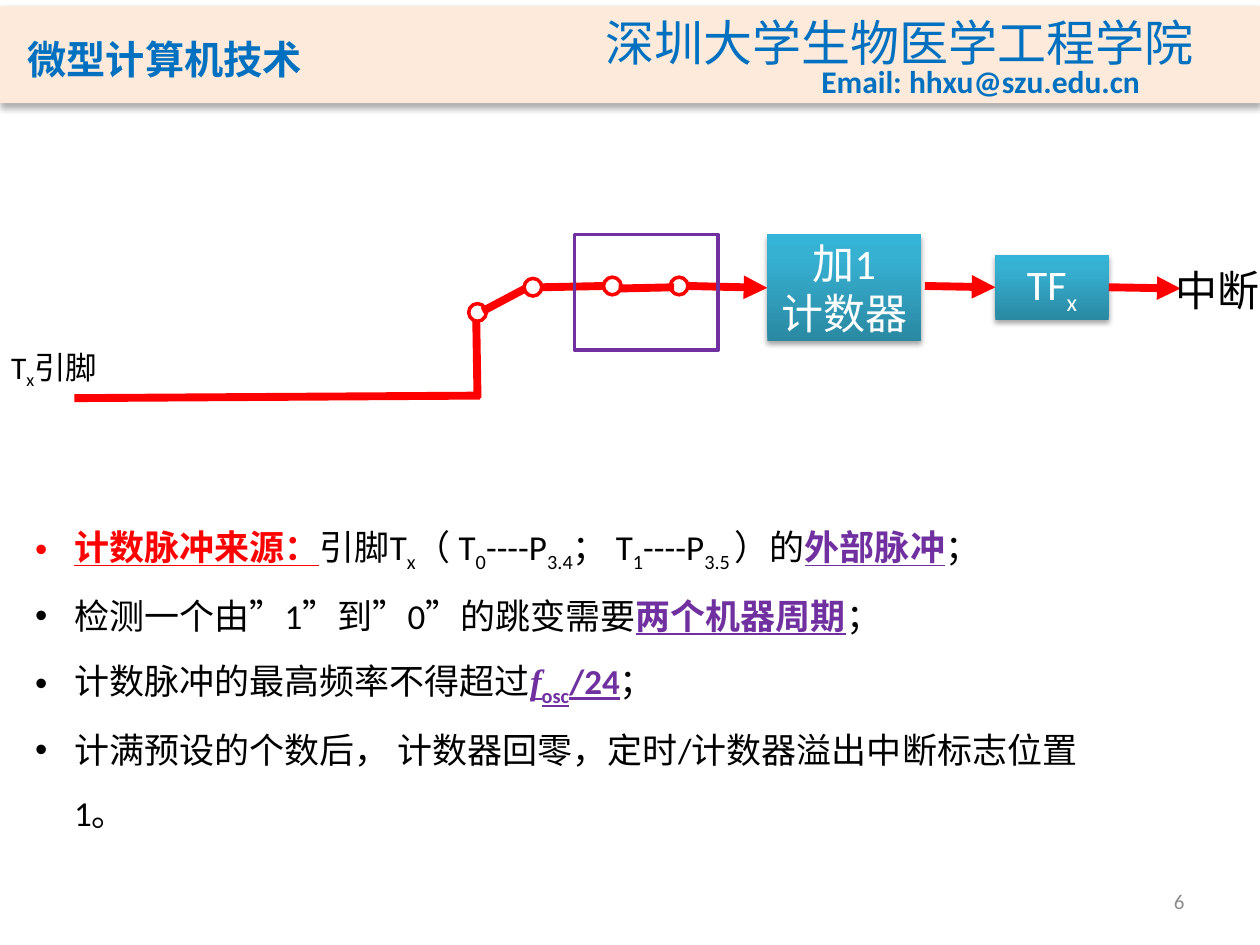
"""Build the slide on counter pulses: a signal chain from pin to interrupt, and four notes."""
from copy import deepcopy

from lxml import etree
from pptx import Presentation
from pptx import util as u
from pptx.dml.color import RGBColor
from pptx.enum import shapes, text
from pptx.oxml import ns

COLORS = {
    "band": "FDEADA", "header": "0070C0", "number": "8C8C8C", "black": "000000",
    "white": "FFFFFF", "signal": "FF0000", "accent": "7030A0",
}
BLOCK_STOPS = [(0, "2A88A2"), (0.8, "37B1D2"), (1, "34B4D6")]
SUB = {"baseline": "-25000"}
STRONG = {"name": "Times New Roman", "color": "accent", "bold": True, "underline": True}
STRONG_CALIBRI = {**STRONG, "name": "Calibri"}
LEAD = {**STRONG_CALIBRI, "color": "signal"}

NOTES = [
    [("计数脉冲来源：", LEAD), "引脚T", ("x", SUB), "（ T", ("0", SUB), "----P", ("3.4", SUB),
     "； T", ("1", SUB), "----P", ("3.5 ", SUB), "）的", ("外部脉冲", STRONG), "；"],
    ["检测一个由”1”到”0”的跳变需要", ("两个机器周期", STRONG), "；"],
    ["计数脉冲的最高频率不得超过", ("f", {**STRONG, "italic": True}),
     ("osc", {**STRONG_CALIBRI, **SUB}), ("/24", STRONG_CALIBRI), "；"],
    ["计满预设的个数后， 计数器回零，定时/计数器溢出中断标志位置1。"],
]
WIRES = [
    (3.78, 2.55, 3.79, 3.16), (0.59, 3.16, 3.81, 3.14), (3.83, 2.47, 4.17, 2.29),
    (4.3, 2.28, 4.8, 2.27), (5.35, 2.28, 4.91, 2.29),
]
CONTACTS = [(3.72, 2.41), (4.16, 2.21), (4.79, 2.2), (5.32, 2.2)]


def rgb(name):
    """Return the named colour."""
    return RGBColor.from_string(COLORS[name])


def add_run(paragraph, content, base):
    """Add a run, given as plain text or as text with its own format."""
    words, changes = (content, {}) if isinstance(content, str) else content
    run = paragraph.add_run()
    run.text = words
    for key, value in {"name": "Calibri", "color": "black", **base, **changes}.items():
        if key == "color":
            run.font.color.rgb = rgb(value)
        elif key in ("baseline", "cap"):
            run._r.get_or_add_rPr().set(key, value)
        else:
            setattr(run.font, key, u.Pt(value) if key == "size" else value)


def add_bullet(paragraph):
    """Give a paragraph a hanging bullet."""
    properties = paragraph._p.get_or_add_pPr()
    properties.set("marL", str(u.Inches(0.31)))
    properties.set("indent", str(-u.Inches(0.31)))
    etree.SubElement(properties, ns.qn("a:buFont")).set("typeface", "Arial")
    etree.SubElement(properties, ns.qn("a:buChar")).set("char", "•")


def write(shape, paragraphs, base, align="LEFT", anchor="TOP", wrap=True, bullets=False):
    """Fill a shape with paragraphs, each a list of runs."""
    frame = shape.text_frame
    frame.word_wrap = wrap
    frame.vertical_anchor = getattr(text.MSO_ANCHOR, anchor)
    for index, runs in enumerate(paragraphs):
        paragraph = frame.add_paragraph() if index else frame.paragraphs[0]
        paragraph.alignment = getattr(text.PP_ALIGN, align)
        if bullets:
            paragraph.line_spacing = 1.5
            add_bullet(paragraph)
        for content in runs:
            add_run(paragraph, content, base)


def add_label(slide, box, paragraphs, base, **layout):
    """Add a text box."""
    write(slide.shapes.add_textbox(*map(u.Inches, box)), paragraphs, base, **layout)


def add_outline(slide, kind, box, color=None):
    """Add a shape without fill, with a line in the colour if one is given."""
    shape = slide.shapes.add_shape(kind, *map(u.Inches, box))
    shape.shadow.inherit = False
    shape.fill.background()
    if color:
        shape.line.color.rgb = rgb(color)
        shape.line.width = u.Pt(2)
    else:
        shape.line.fill.background()
    return shape


def add_shadow(shape, opacity, blur, distance):
    """Cast a soft black shadow straight down."""
    effects = shape._element.spPr.find(ns.qn("a:effectLst"))
    shadow = etree.SubElement(effects, ns.qn("a:outerShdw"), blurRad=str(u.Pt(blur)),
                              dist=str(u.Pt(distance)), dir="5400000", rotWithShape="0")
    color = etree.SubElement(shadow, ns.qn("a:srgbClr"), val=COLORS["black"])
    etree.SubElement(color, ns.qn("a:alpha"), val=str(opacity * 1000))


def add_block(slide, box, paragraphs):
    """Add a shaded block of the signal chain."""
    shape = add_outline(slide, shapes.MSO_SHAPE.RECTANGLE, box)
    shape.fill.gradient()
    shape.fill.gradient_angle = 90
    stop_list = shape._element.spPr.find(ns.qn("a:gradFill")).find(ns.qn("a:gsLst"))
    stop_list.append(deepcopy(stop_list[-1]))
    for stop, (position, color) in zip(shape.fill.gradient_stops, BLOCK_STOPS):
        stop.position = position
        stop.color.rgb = RGBColor.from_string(color)
    add_shadow(shape, 35, 3.1, 1.8)
    write(shape, paragraphs, {"size": 24, "color": "white"}, align="CENTER", anchor="MIDDLE")
    return shape


def add_wire(slide, ends, arrow=False, start=None, finish=None):
    """Add a signal wire, joined to the right of one block or the left of another."""
    wire = slide.shapes.add_connector(shapes.MSO_CONNECTOR.STRAIGHT, *map(u.Inches, ends))
    wire.line.color.rgb = rgb("signal")
    wire.line.width = u.Pt(4.5)
    if arrow:
        etree.SubElement(wire.line._get_or_add_ln(), ns.qn("a:tailEnd"), type="triangle")
    etree.SubElement(wire._element.spPr, ns.qn("a:effectLst"))
    if start:
        wire.begin_connect(start, 3)
    if finish:
        wire.end_connect(finish, 1)


def add_header(slide):
    """Add the band with the course, the school and the address."""
    band = add_outline(slide, shapes.MSO_SHAPE.RECTANGLE, (0, 0.05, 10, 0.77))
    band.fill.solid()
    band.fill.fore_color.rgb = rgb("band")
    add_shadow(band, 32, 3.5, 2.2)
    blue = {"color": "header", "size": 28}
    add_label(slide, (0.12, 0.16, 3.39, 0.56), [["微型计算机技术"]],
              {**blue, "name": "Noto Sans CJK JP", "bold": True, "cap": "small"}, anchor="BOTTOM")
    add_label(slide, (4.71, 0.05, 4.91, 0.57), [["深圳大学生物医学工程学院"]],
              {**blue, "name": "Noto Sans CJK SC"}, wrap=False)
    add_label(slide, (6.42, 0.44, 2.75, 0.4), [["Email: hhxu@szu.edu.cn"]],
              {**blue, "size": 18, "bold": True}, wrap=False)


def add_signal_chain(slide):
    """Add the wires, contacts and blocks from the pin to the interrupt."""
    for ends in WIRES:
        add_wire(slide, ends)
    for left, top in CONTACTS:
        add_outline(slide, shapes.MSO_SHAPE.OVAL, (left, top, 0.14, 0.14), "signal")
    counter = add_block(slide, (6.09, 1.86, 1.22, 0.85), [["加1"], ["计数器"]])
    flag = add_block(slide, (7.9, 2.02, 0.9, 0.52), [["TF", ("x", SUB)]])
    add_wire(slide, (5.46, 2.27, 6.09, 2.27), arrow=True, finish=counter)
    add_wire(slide, (7.34, 2.27, 7.9, 2.28), arrow=True, finish=flag)
    add_wire(slide, (8.8, 2.28, 9.37, 2.29), arrow=True, start=flag)
    add_label(slide, (9.23, 2.05, 0.88, 0.5), [["中断"]], {"size": 24}, wrap=False)
    add_label(slide, (-0.01, 2.71, 0.92, 0.4), [["T", ("x", SUB), "引脚"]], {"size": 18})
    add_outline(slide, shapes.MSO_SHAPE.RECTANGLE, (4.56, 1.86, 1.14, 0.92), "accent")


def main():
    """Build and save the presentation."""
    presentation = Presentation()
    presentation.slide_width, presentation.slide_height = u.Inches(10), u.Inches(7.5)
    slide = presentation.slides.add_slide(presentation.slide_layouts[6])
    add_header(slide)
    add_label(slide, (7.17, 6.95, 2.33, 0.4), [["6"]], {"size": 12, "color": "number"},
              align="RIGHT", anchor="MIDDLE")
    add_label(slide, (0.18, 3.93, 8.75, 2.12), NOTES, {"size": 20}, bullets=True)
    add_signal_chain(slide)
    presentation.save("out.pptx")


if __name__ == "__main__":
    main()
